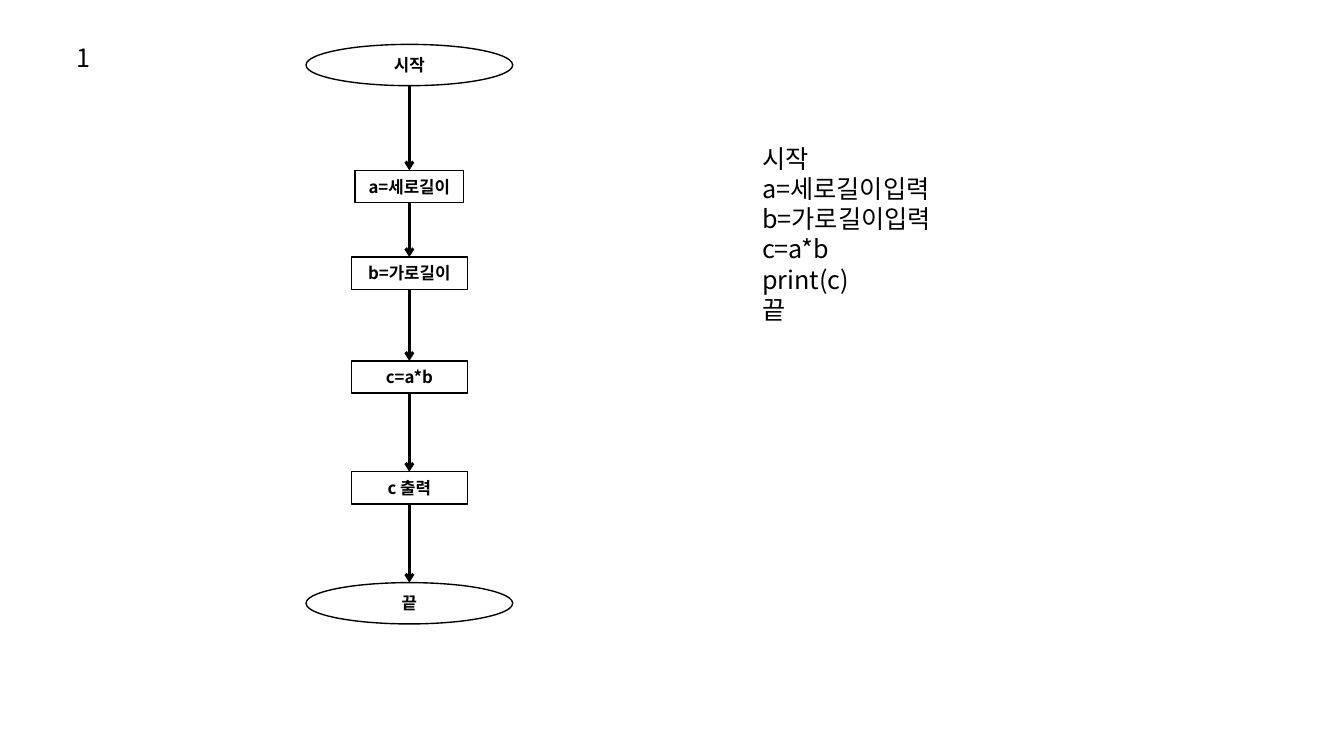
from itertools import pairwise

from lxml.etree import SubElement
from pptx import Presentation
from pptx.dml.color import RGBColor
from pptx.enum.shapes import MSO_CONNECTOR, MSO_SHAPE
from pptx.enum.text import MSO_ANCHOR, MSO_AUTO_SIZE, PP_ALIGN
from pptx.oxml.ns import qn
from pptx.util import Inches, Pt

COLORS = {"ink": "000000"}
FONT = "Noto Sans CJK KR"

PROBLEM_NUMBER = "1"
PSEUDOCODE = ["시작", "a=세로길이입력", "b=가로길이입력", "c=a*b", "print(c)", "끝"]

OVAL = MSO_SHAPE.OVAL
PROCESS = MSO_SHAPE.FLOWCHART_PROCESS
AXIS = 4.06
# label, outline, top, width, height
STEPS = [
    ("시작", OVAL, 0.44, 2.05, 0.41),
    ("a=세로길이", PROCESS, 1.69, 1.08, 0.32),
    ("b=가로길이", PROCESS, 2.55, 1.15, 0.32),
    ("c=a*b", PROCESS, 3.58, 1.15, 0.32),
    ("c 출력", PROCESS, 4.68, 1.15, 0.32),
    ("끝", OVAL, 5.78, 2.05, 0.41),
]


def ink():
    return RGBColor.from_string(COLORS["ink"])


def write(frame, lines, size=18, bold=False, align=PP_ALIGN.LEFT,
          anchor=MSO_ANCHOR.TOP, wrap=True, autosize=MSO_AUTO_SIZE.NONE):
    frame.word_wrap = wrap
    frame.auto_size = autosize
    frame.vertical_anchor = anchor
    for index, line in enumerate(lines):
        paragraph = frame.add_paragraph() if index else frame.paragraphs[0]
        paragraph.alignment = align
        run = paragraph.add_run()
        run.text = line
        run.font.size = Pt(size)
        run.font.bold = bold
        run.font.name = FONT
        run.font.color.rgb = ink()
        # Korean glyphs take the East Asian font
        SubElement(run.font._element, qn("a:ea"), typeface=FONT)


def add_step(slide, label, outline, top, width, height):
    step = slide.shapes.add_shape(
        outline, Inches(AXIS - width / 2), Inches(top), Inches(width), Inches(height))
    step.shadow.inherit = False
    step.fill.background()
    step.line.color.rgb = ink()
    step.line.width = Pt(1)
    write(step.text_frame, [label], size=12, bold=True, align=PP_ALIGN.CENTER,
          anchor=MSO_ANCHOR.MIDDLE, wrap=False)


def add_arrow(slide, start, end):
    """Draw a downward arrow on the flowchart axis."""
    arrow = slide.shapes.add_connector(
        MSO_CONNECTOR.STRAIGHT, Inches(AXIS), Inches(start), Inches(AXIS), Inches(end))
    arrow.line.color.rgb = ink()
    arrow.line.width = Pt(2)
    SubElement(arrow.line._get_or_add_ln(), qn("a:tailEnd"), type="arrow")
    SubElement(arrow._element.spPr, qn("a:effectLst"))


def main():
    deck = Presentation()
    deck.slide_width, deck.slide_height = Inches(13.33), Inches(7.5)
    slide = deck.slides.add_slide(deck.slide_layouts[5])

    number = slide.shapes.title
    number.left, number.top = Inches(0.66), Inches(0.37)
    number.width, number.height = Inches(0.43), Inches(0.4)
    write(number.text_frame, [PROBLEM_NUMBER], autosize=MSO_AUTO_SIZE.SHAPE_TO_FIT_TEXT)

    pseudocode = slide.shapes.add_textbox(
        Inches(7.46), Inches(1.37), Inches(3.91), Inches(1.92))
    write(pseudocode.text_frame, PSEUDOCODE, autosize=MSO_AUTO_SIZE.SHAPE_TO_FIT_TEXT)

    for step in STEPS:
        add_step(slide, *step)
    for (_, _, top, _, height), (_, _, next_top, _, _) in pairwise(STEPS):
        add_arrow(slide, top + height, next_top)

    deck.save("out.pptx")


if __name__ == "__main__":
    main()
